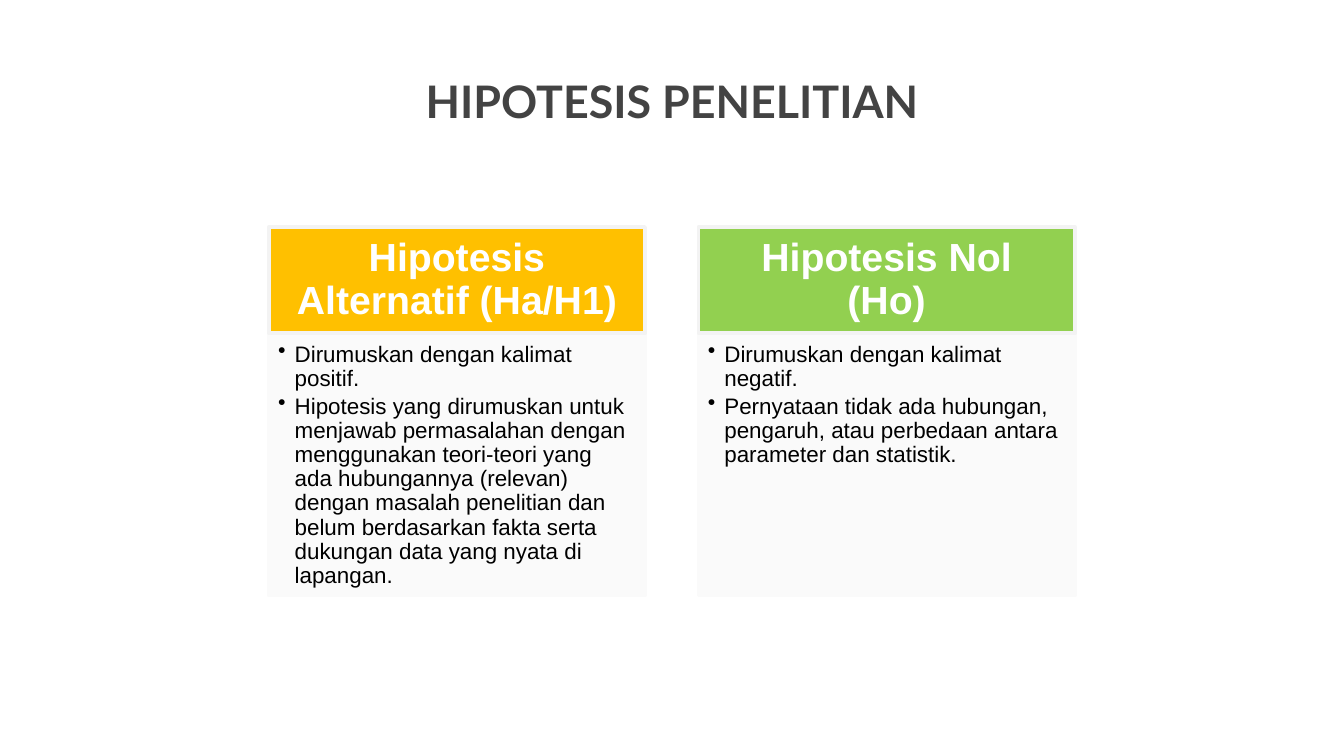
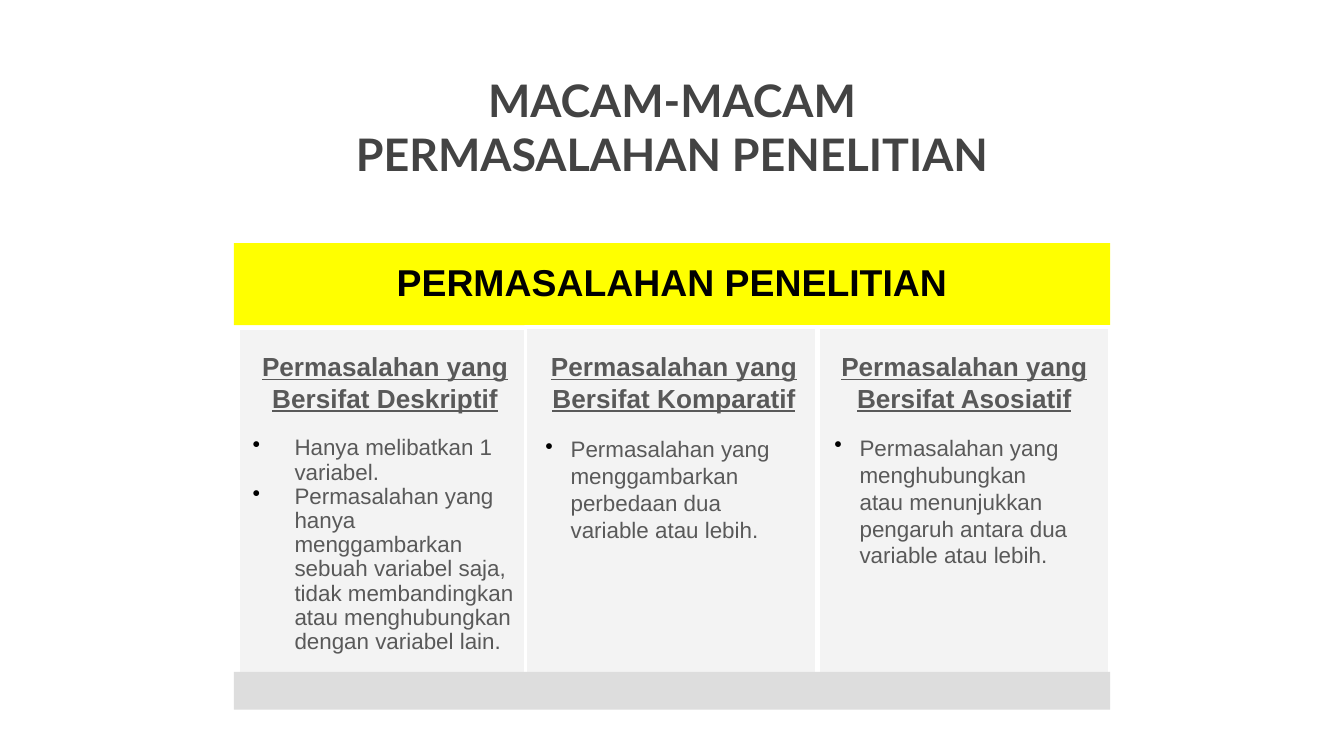
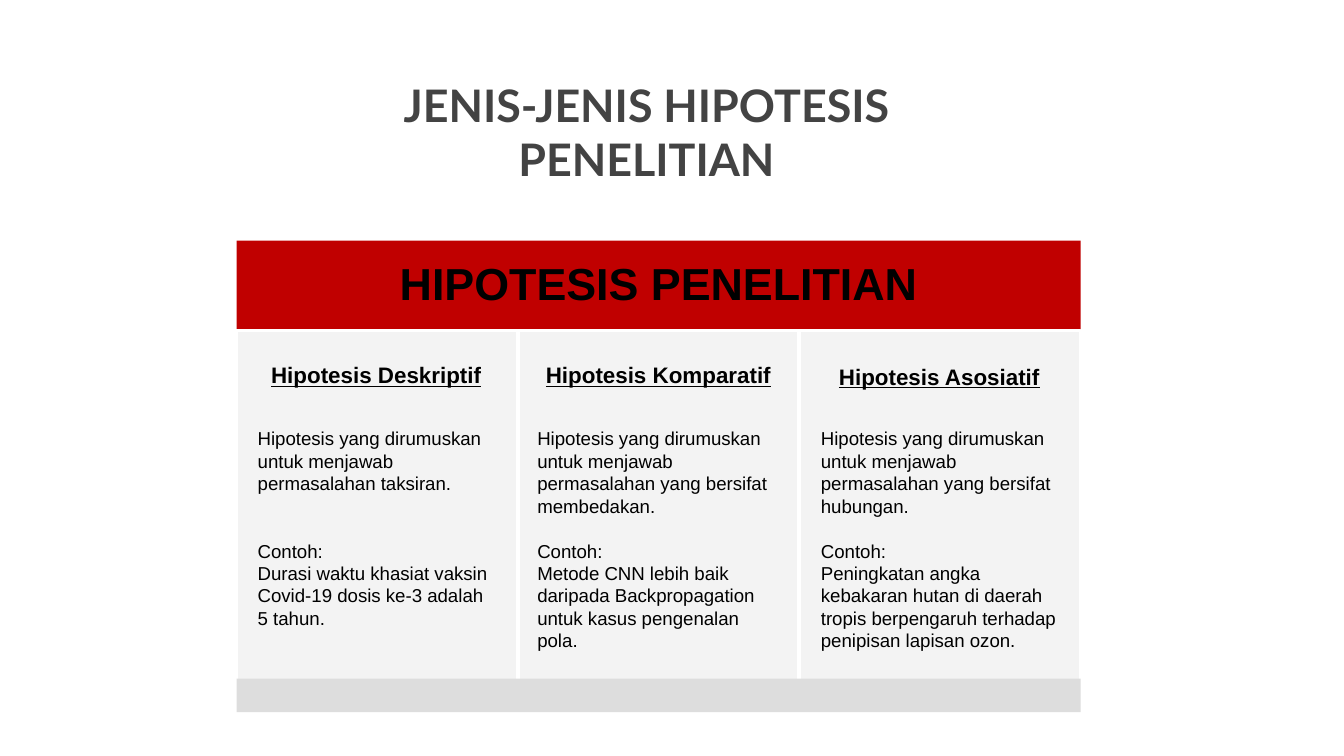
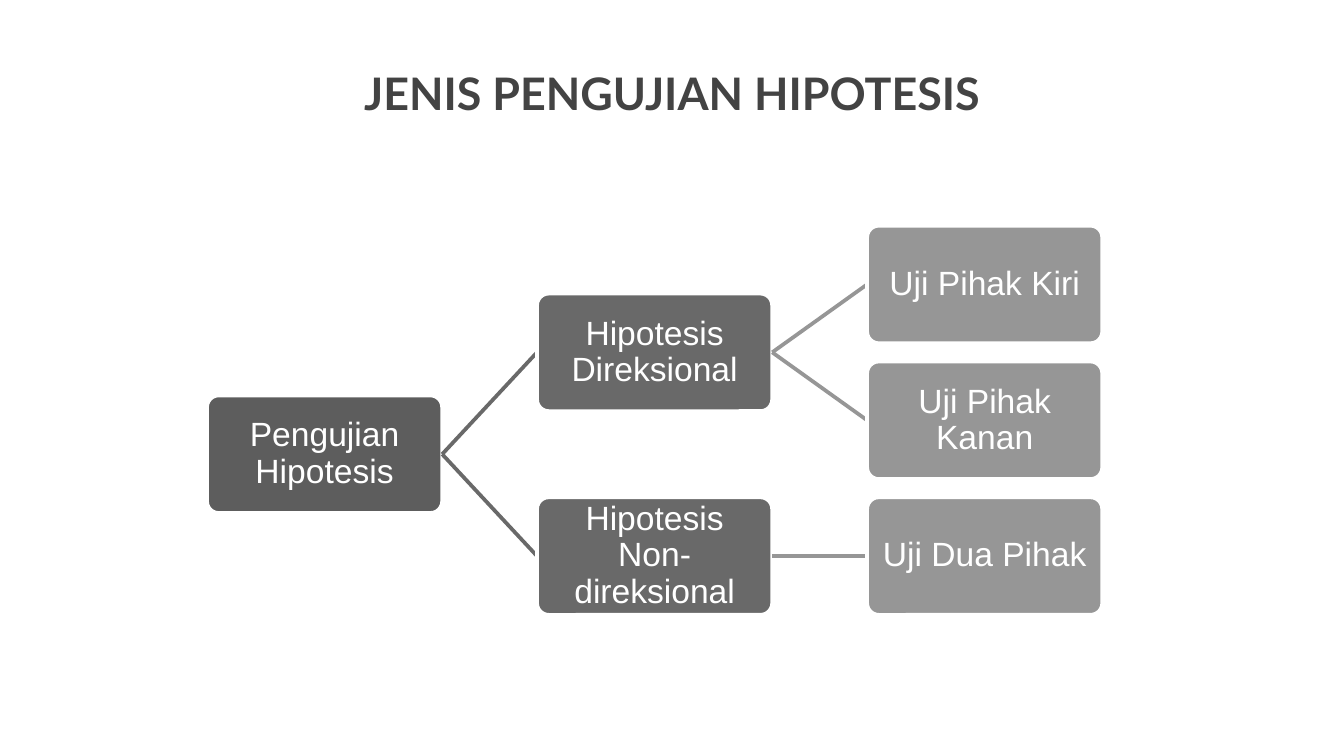
from lxml.etree import SubElement
from pptx import Presentation
from pptx.dml.color import RGBColor
from pptx.enum.shapes import MSO_CONNECTOR, MSO_SHAPE
from pptx.enum.text import MSO_ANCHOR, PP_ALIGN
from pptx.oxml.ns import qn
from pptx.util import Pt

HUES = {
    "title": "434343", "ink": "000000", "soft": "595959", "white": "FFFFFF",
    "amber": "FFC000", "green": "92D050", "yellow": "FFFF00", "red": "C00000",
    "pale": "F3F3F3", "mist": "FAFAFA", "bar": "DDDDDD",
    "root": "5D5D5D", "branch": "696969", "leaf": "969696",
}
PAD = (7.2, 3.6, 7.2, 3.6)


def tone(name):
    """Return the named colour."""
    return RGBColor.from_string(HUES[name])


def bullet(para, indent):
    """Give a paragraph a black hanging bullet."""
    props = para._p.get_or_add_pPr()
    props.set("marL", str(Pt(indent)))
    props.set("indent", str(-Pt(indent)))
    hue = SubElement(props, qn("a:buClr"))
    SubElement(hue, qn("a:srgbClr")).set("val", HUES["ink"])
    SubElement(props, qn("a:buChar")).set("char", "•")


def write(shape, lines, size, hue="ink", face="Arial", bold=False, under=False,
          align=PP_ALIGN.LEFT, anchor=MSO_ANCHOR.TOP, pad=PAD,
          indent=0, pitch=None, after=0, gaps=None):
    """Fill a shape with evenly styled paragraphs."""
    frame = shape.text_frame
    frame.word_wrap = True
    frame.vertical_anchor = anchor
    frame.margin_left, frame.margin_top, frame.margin_right, frame.margin_bottom = map(Pt, pad)
    for pos, line in enumerate(lines):
        para = frame.add_paragraph() if pos else frame.paragraphs[0]
        para.add_run().text = line
        if indent:
            bullet(para, indent)
        para.alignment = align
        para.line_spacing = pitch
        para.space_after = Pt(after)
        para.space_before = Pt((gaps or {}).get(pos, 0))
        font = para.font
        font.name, font.size, font.bold, font.underline = face, Pt(size), bold, under
        font.color.rgb = tone(hue)


def label(slide, box, lines, size, **style):
    """Add a text box."""
    write(slide.shapes.add_textbox(*map(Pt, box)), lines, size, **style)


def block(slide, box, fill, edge=None, kind=MSO_SHAPE.RECTANGLE):
    """Add a filled shape with an optional outline."""
    shape = slide.shapes.add_shape(kind, *map(Pt, box))
    shape.shadow.inherit = False
    shape.fill.solid()
    shape.fill.fore_color.rgb = tone(fill)
    if edge:
        shape.line.color.rgb = tone(edge)
        shape.line.width = Pt(2)
    else:
        shape.line.fill.background()
    return shape


def center(shape, text, size, pad, **style):
    """Write one centred line of text in a shape."""
    write(shape, [text], size, align=PP_ALIGN.CENTER, anchor=MSO_ANCHOR.MIDDLE,
          pad=pad, pitch=0.9, **style)


def start(deck, text, top, left=154.8):
    """Add a blank slide with its title."""
    slide = deck.slides.add_slide(deck.slide_layouts[6])
    label(slide, (left, top, 410.4, 74.2), [text], 24, hue="title", face="Lato",
          bold=True, align=PP_ALIGN.CENTER, pad=(7.2,) * 4)
    return slide


def card(slide, box, text, hue, points):
    """Add a heading block above a bulleted block."""
    left, top, wide, tall = box
    head = 57
    body = block(slide, (left, top + head, wide, tall - head), "mist", "mist")
    write(body, points, 12, pad=(5, 5, 6.5, 7), indent=8.9, pitch=0.9, after=2)
    cap = block(slide, (left, top, wide, head), hue, "pale")
    center(cap, text, 21, (11.5, 6.5, 11.5, 6.5), hue="white", bold=True)


def panel(slide, box, band, foot, text, hue, size, cols):
    """Add a banner, its plain columns and a closing bar."""
    left, top, wide, tall = box
    cap = block(slide, (left, top, wide, band), hue)
    center(cap, text, size, (6.5,) * 4, bold=True)
    for x, y, w, h in cols:
        block(slide, (left + x, top + y, w, h), "pale", "white")
    block(slide, (left, top + tall - foot, wide, foot), "bar")


def notes(slide, box, items, size, body, hue):
    """Add a heading and a text for each column of a panel."""
    left, top = box[:2]
    for head, (x, y, w), (bx, by, bw), lines, style in items:
        label(slide, (left + x, top + y, w, 2.6 * size), [head], size, hue=hue,
              bold=True, under=True, align=PP_ALIGN.CENTER)
        label(slide, (left + bx, top + by, bw, 125), lines, body, hue=hue, **style)


def level(node):
    """Return the row of a node, midway between its outer children."""
    kids = node[1]
    if not isinstance(kids, list):
        return kids
    return (level(kids[0]) + level(kids[-1])) / 2


def tree(slide, box, node, depth=0):
    """Draw a node, its links and its children from left to right."""
    left, top = box
    wide, tall, step, row = 126, 63, 176.8, 72.75
    hues = ("root", "branch", "leaf")
    x, y = left + depth * step, top + level(node) * row
    shape = block(slide, (x, y, wide, tall), hues[depth], "white", MSO_SHAPE.ROUNDED_RECTANGLE)
    shape.adjustments[0] = 0.1
    center(shape, node[0], 18, (2.5,) * 4, hue="white")
    for kid in node[1] if isinstance(node[1], list) else []:
        end = top + level(kid) * row
        link = slide.shapes.add_connector(
            MSO_CONNECTOR.STRAIGHT,
            *map(Pt, (x + wide, y + tall / 2, x + step, end + tall / 2)))
        link.line.color.rgb = tone(hues[depth + 1])
        link.line.width = Pt(2)
        SubElement(link._element.spPr, qn("a:effectLst"))
        tree(slide, box, kid, depth + 1)


def pair(deck):
    """Build the slide on the two hypotheses."""
    slide = start(deck, "HIPOTESIS PENELITIAN", 32.4)
    cards = [
        ("Hipotesis Alternatif (Ha/H1)", "amber", [
            "Dirumuskan dengan kalimat positif.",
            "Hipotesis yang dirumuskan untuk menjawab permasalahan dengan menggunakan "
            "teori-teori yang ada hubungannya (relevan) dengan masalah penelitian dan "
            "belum berdasarkan fakta serta dukungan data yang nyata di lapangan."]),
        ("Hipotesis Nol (Ho)", "green", [
            "Dirumuskan dengan kalimat negatif.",
            "Pernyataan tidak ada hubungan, pengaruh, atau perbedaan antara "
            "parameter dan statistik."]),
    ]
    for pos, item in enumerate(cards):
        card(slide, (144 + pos * 230.2, 121.6, 201.6, 197.4), *item)


def issues(deck):
    """Build the slide on the kinds of problems."""
    slide = start(deck, "MACAM-MACAM PERMASALAHAN PENELITIAN", 31.7)
    box = (125.3, 130.3, 469.4, 249.9)
    panel(slide, box, 43.9, 20.2, "PERMASALAHAN PENELITIAN", "yellow", 20,
          [(2.1, 45.4, 156.2, 203), (156.2, 44.7, 156.2, 193), (313.2, 44.7, 156.2, 191.5)])
    wide, slim = {"indent": 22.5, "pitch": 0.9}, {"indent": 13.5}
    notes(slide, box, [
        ("Permasalahan yang Bersifat Deskriptif", (3.6, 54, 154.8), (2.9, 100.1, 155.5), [
            "Hanya melibatkan 1 variabel.",
            "Permasalahan yang hanya menggambarkan sebuah variabel saja, tidak "
            "membandingkan atau menghubungkan dengan variabel lain."], wide),
        ("Permasalahan yang Bersifat Komparatif", (158.4, 54, 154.8), (159.8, 99.4, 142.6), [
            "Permasalahan yang menggambarkan perbedaan dua variable atau lebih."], slim),
        ("Permasalahan yang Bersifat Asosiatif", (313.9, 54, 154.8), (314.6, 98.7, 142.6), [
            "Permasalahan yang menghubungkan atau menunjukkan pengaruh antara dua "
            "variable atau lebih."], slim),
    ], 14, 12, "soft")


def kinds(deck):
    """Build the slide on the kinds of hypotheses."""
    slide = start(deck, "JENIS-JENIS HIPOTESIS PENELITIAN", 34.6, 141.1)
    box = (126.7, 128.9, 452.2, 252.7)
    third = box[2] / 3
    panel(slide, box, 48.2, 18, "HIPOTESIS PENELITIAN", "red", 24,
          [(pos * third, 48.2, third, 193.7) for pos in range(3)])
    lead = "Hipotesis yang dirumuskan untuk menjawab permasalahan "
    notes(slide, box, [
        ("Hipotesis Deskriptif", (9.4, 61.2, 131), (4.3, 96.5, 141.1), [
            lead + "taksiran.", "Contoh:",
            "Durasi waktu khasiat vaksin Covid-19 dosis ke-3 adalah 5 tahun."],
         {"gaps": {1: 24}}),
        ("Hipotesis Komparatif", (154.1, 61.2, 144), (154.1, 96.5, 141.1), [
            lead + "yang bersifat membedakan.", "Contoh:",
            "Metode CNN lebih baik daripada Backpropagation untuk kasus pengenalan pola."],
         {"gaps": {1: 12}}),
        ("Hipotesis Asosiatif", (306.7, 61.9, 139.7), (306, 96.5, 141.1), [
            lead + "yang bersifat hubungan.", "Contoh:",
            "Peningkatan angka kebakaran hutan di daerah tropis berpengaruh terhadap "
            "penipisan lapisan ozon."],
         {"gaps": {1: 12}}),
    ], 12, 10, "ink")


def tests(deck):
    """Build the slide on the kinds of tests."""
    slide = start(deck, "JENIS PENGUJIAN HIPOTESIS", 28.1)
    tree(slide, (110.9, 120.9), ("Pengujian Hipotesis", [
        ("Hipotesis Direksional", [("Uji Pihak Kiri", 0), ("Uji Pihak Kanan", 1)]),
        ("Hipotesis Non-direksional", [("Uji Dua Pihak", 2)]),
    ]))


def main():
    """Build and save the deck."""
    deck = Presentation()
    deck.slide_width, deck.slide_height = Pt(720), Pt(405)
    for build in (pair, issues, kinds, tests):
        build(deck)
    deck.save("out.pptx")


if __name__ == "__main__":
    main()
